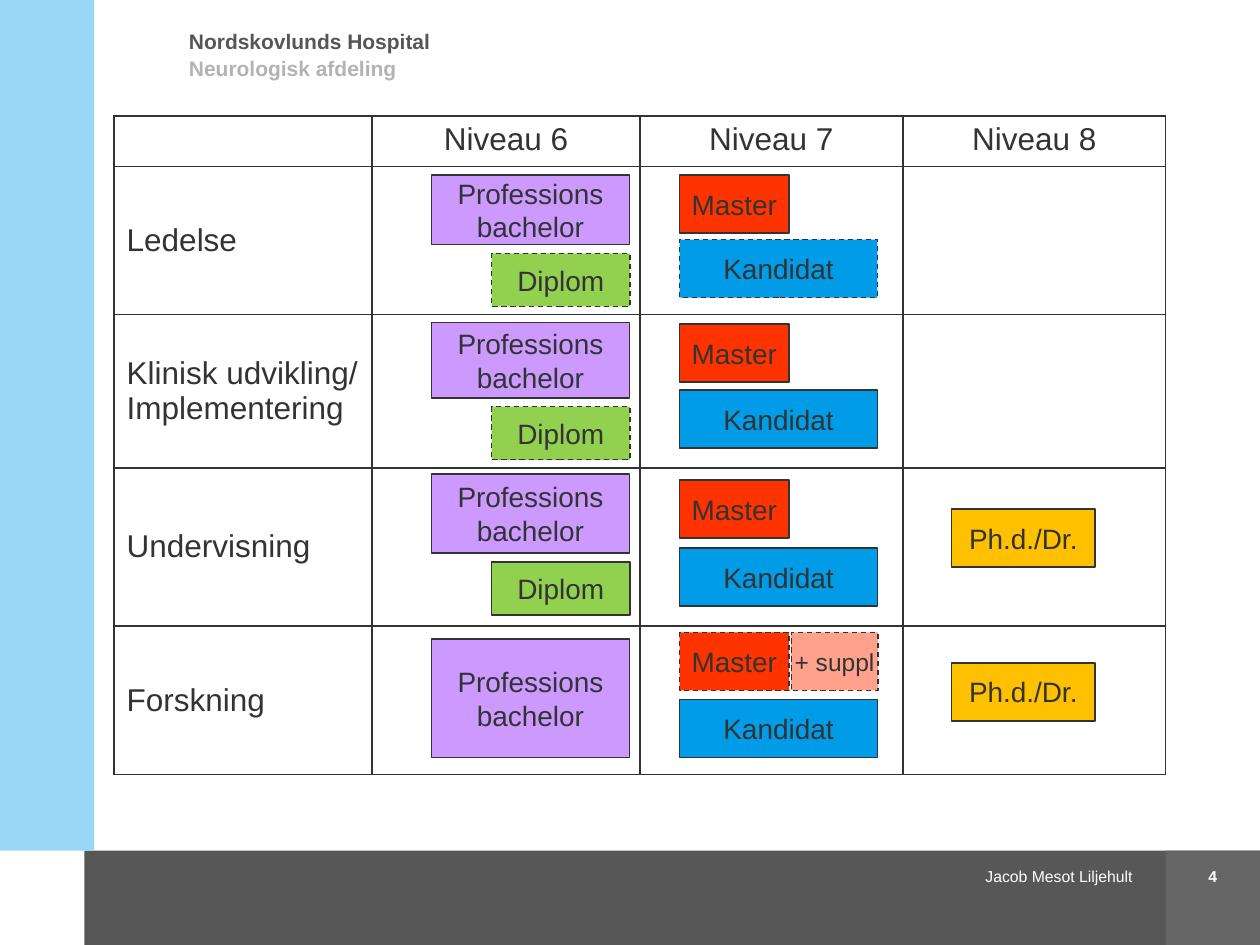
from lxml import etree
from pptx import Presentation
from pptx.dml.color import RGBColor
from pptx.enum.dml import MSO_LINE
from pptx.enum.shapes import MSO_SHAPE
from pptx.enum.text import MSO_ANCHOR, PP_ALIGN
from pptx.oxml.ns import qn
from pptx.util import Cm, Pt

LEFT, CENTER, RIGHT = PP_ALIGN.LEFT, PP_ALIGN.CENTER, PP_ALIGN.RIGHT
TOP, MIDDLE = MSO_ANCHOR.TOP, MSO_ANCHOR.MIDDLE
RECTANGLE, DASH = MSO_SHAPE.RECTANGLE, MSO_LINE.DASH

THEME = {
    "font": "Arial",
    "colors": {
        "ink": "333333", "white": "FFFFFF", "heading": "565656", "muted": "B3B3B3",
        "side": "99D7F6", "footer": "575757", "number": "666666",
        "bachelor": "CC99FF", "diploma": "92D050", "master": "FF3300",
        "candidate": "009CE8", "doctor": "FFC000", "supplement": "FFA18B",
    },
    "sizes": {"table": 18, "box": 16, "small box": 14, "header": 12, "footer": 9},
    "line": 1, "dashed line": 0.75,
}

# Content: lengths in centimetres
BANDS = [  # colour, left, top, width, height
    ("footer", 1.7, 17.15, 23.7, 1.9),
    ("number", 23.5, 17.15, 1.9, 1.9),
    ("side", 0, 0, 1.9, 17.15),
]
CAPTIONS = [  # text, left, top, width, height, size, colour, bold, alignment
    ("Nordskovlunds Hospital", 3.81, 0.58, 8.97, 0.6, "header", "heading", True, LEFT),
    ("Neurologisk afdeling", 3.81, 1.12, 19.7, 1.17, "header", "muted", True, LEFT),
    ("4", 23.5, 17.48, 1.9, 0.4, "footer", "white", True, CENTER),
    ("Jacob Mesot Liljehult", 16.43, 17.48, 6.4, 0.4, "footer", "white", False, RIGHT),
]
LEVELS = ["", "Niveau 6", "Niveau 7", "Niveau 8"]
AREAS = ["Ledelse", "Klinisk udvikling/\nImplementering", "Undervisning", "Forskning"]
TABLE_LEFT, TABLE_TOP = 2.3, 2.34
COLUMN_WIDTHS = [5.2, 5.4, 5.3, 5.3]
ROW_HEIGHTS = [0.97, 2.98, 3.1, 3.18, 3.0]

DEGREES = {  # text, left, width, size
    "bachelor": ("Professions\nbachelor", 8.7, 3.99, "box"),
    "diploma": ("Diplom", 9.91, 2.79, "box"),
    "master": ("Master", 13.7, 2.21, "box"),
    "candidate": ("Kandidat", 13.7, 3.99, "box"),
    "doctor": ("Ph.d./Dr.", 19.18, 2.9, "box"),
    "supplement": ("+ suppl", 15.95, 1.75, "small box"),
}
PLACEMENTS = [  # for each area: degree, offset from row top, height, dashed
    [("bachelor", 0.22, 1.4, False), ("diploma", 1.8, 1.07, True),
     ("master", 0.22, 1.17, False), ("candidate", 1.52, 1.17, True)],
    [("bachelor", 0.21, 1.52, False), ("diploma", 1.91, 1.07, True),
     ("master", 0.24, 1.17, False), ("candidate", 1.58, 1.17, False)],
    [("bachelor", 0.16, 1.6, False), ("diploma", 1.94, 1.07, False),
     ("master", 0.29, 1.17, False), ("candidate", 1.66, 1.17, False),
     ("doctor", 0.87, 1.17, False)],
    [("bachelor", 0.31, 2.39, False), ("master", 0.18, 1.17, True),
     ("supplement", 0.18, 1.17, True), ("candidate", 1.53, 1.17, False),
     ("doctor", 0.79, 1.17, False)],
]


def color(name):
    return RGBColor.from_string(THEME["colors"][name])


def write(frame, text, size, ink="ink", bold=False, alignment=CENTER):
    frame.text = text
    values = {"name": THEME["font"], "size": Pt(THEME["sizes"][size]), "bold": bold}
    for paragraph in frame.paragraphs:
        paragraph.alignment = alignment
        for name, value in values.items():
            setattr(paragraph.font, name, value)
        paragraph.font.color.rgb = color(ink)


def set_frame(frame, anchor):
    values = {"margin_left": 0, "margin_right": 0, "margin_top": 0, "margin_bottom": 0,
              "word_wrap": True, "vertical_anchor": anchor}
    for name, value in values.items():
        setattr(frame, name, value)


def add_rectangle(slide, fill, *bounds):
    shape = slide.shapes.add_shape(RECTANGLE, *map(Cm, bounds))
    shape.shadow.inherit = False
    shape.fill.solid()
    shape.fill.fore_color.rgb = color(fill)
    shape.line.fill.background()
    return shape


def add_degree(slide, degree, top, height, dashed):
    text, left, width, size = DEGREES[degree]
    shape = add_rectangle(slide, degree, left, top, width, height)
    shape.line.color.rgb = color("ink")
    shape.line.width = Pt(THEME["dashed line" if dashed else "line"])
    if dashed:
        shape.line.dash_style = DASH
    set_frame(shape.text_frame, MIDDLE)
    write(shape.text_frame, text, size)


def add_borders(cell):
    properties = cell._tc.get_or_add_tcPr()
    for index, side in enumerate(("lnL", "lnR", "lnT", "lnB")):
        line = etree.Element(qn(f"a:{side}"), w=str(Pt(THEME["line"])))
        fill = etree.SubElement(line, qn("a:solidFill"))
        etree.SubElement(fill, qn("a:srgbClr"), val=THEME["colors"]["ink"])
        properties.insert(index, line)


def add_level_table(slide):
    rows = [LEVELS] + [[area, "", "", ""] for area in AREAS]
    frame = slide.shapes.add_table(
        len(rows), len(LEVELS), Cm(TABLE_LEFT), Cm(TABLE_TOP),
        Cm(sum(COLUMN_WIDTHS)), Cm(sum(ROW_HEIGHTS)))
    table = frame.table
    for column, width in zip(table.columns, COLUMN_WIDTHS):
        column.width = Cm(width)
    for row, height in zip(table.rows, ROW_HEIGHTS):
        row.height = Cm(height)
    for row_index, texts in enumerate(rows):
        for column_index, text in enumerate(texts):
            cell = table.cell(row_index, column_index)
            cell.fill.solid()
            cell.fill.fore_color.rgb = color("white")
            cell.vertical_anchor = MIDDLE if row_index else TOP
            write(cell.text_frame, text, "table", alignment=LEFT if row_index else CENTER)
            add_borders(cell)


def main():
    presentation = Presentation()
    presentation.slide_width, presentation.slide_height = Cm(25.4), Cm(19.05)
    slide = presentation.slides.add_slide(presentation.slide_layouts[6])

    # Page frame and captions
    for band in BANDS:
        add_rectangle(slide, *band)
    for text, left, top, width, height, *style in CAPTIONS:
        box = slide.shapes.add_textbox(Cm(left), Cm(top), Cm(width), Cm(height))
        set_frame(box.text_frame, TOP)
        write(box.text_frame, text, *style)

    # Table with the degrees placed on its rows
    add_level_table(slide)
    for index, placements in enumerate(PLACEMENTS):
        row_top = TABLE_TOP + sum(ROW_HEIGHTS[:index + 1])
        for degree, offset, height, dashed in placements:
            add_degree(slide, degree, row_top + offset, height, dashed)

    presentation.save("out.pptx")


if __name__ == "__main__":
    main()
